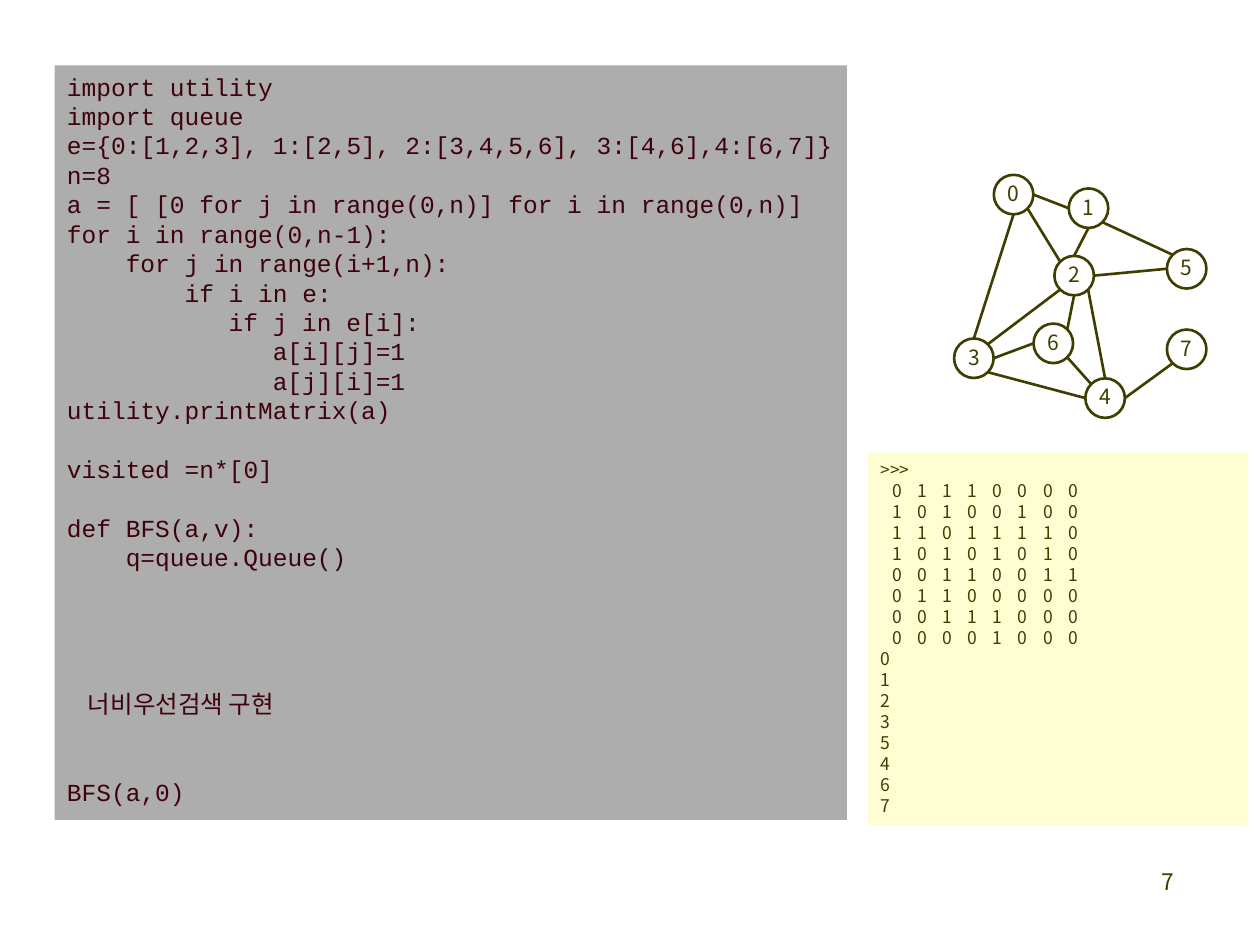
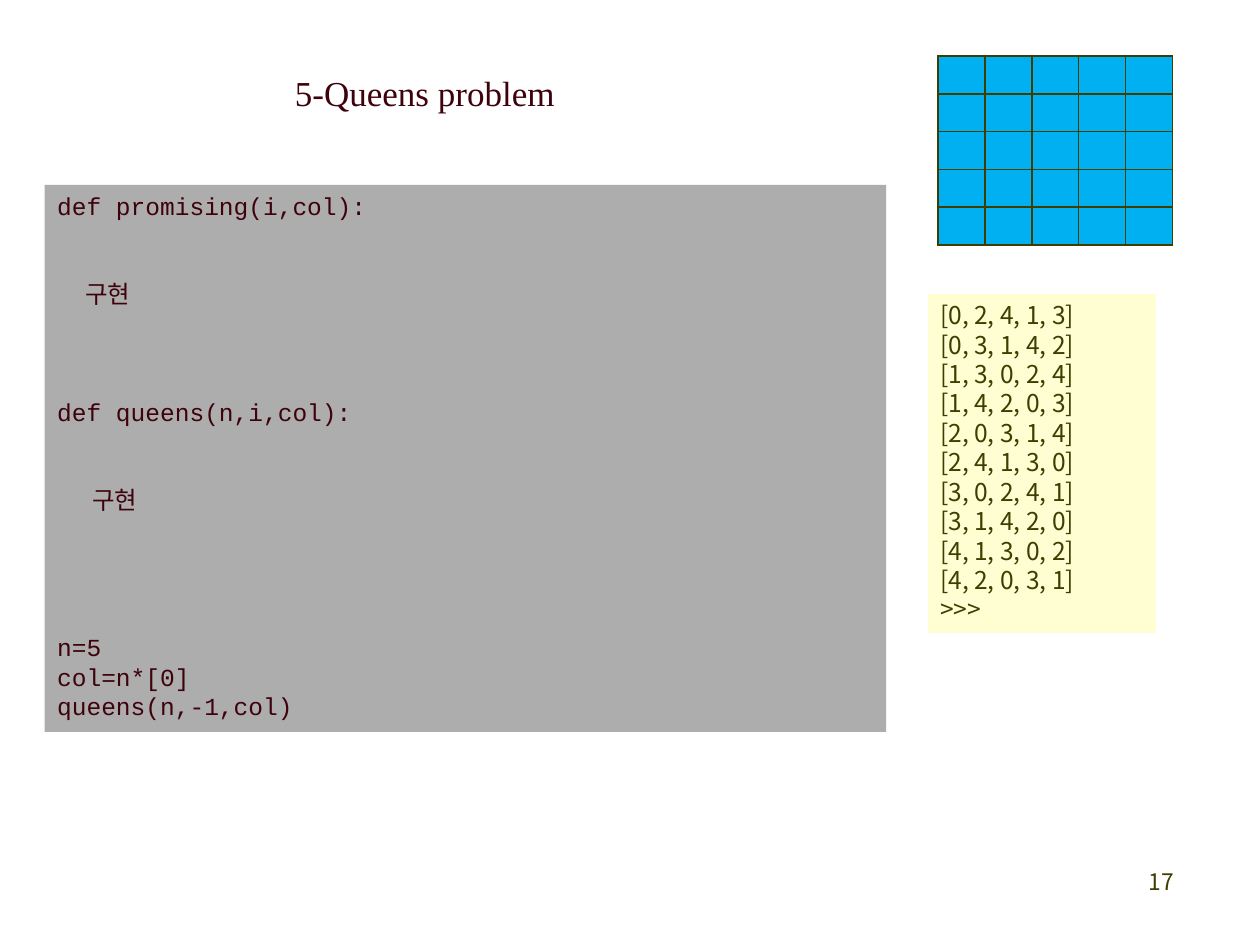
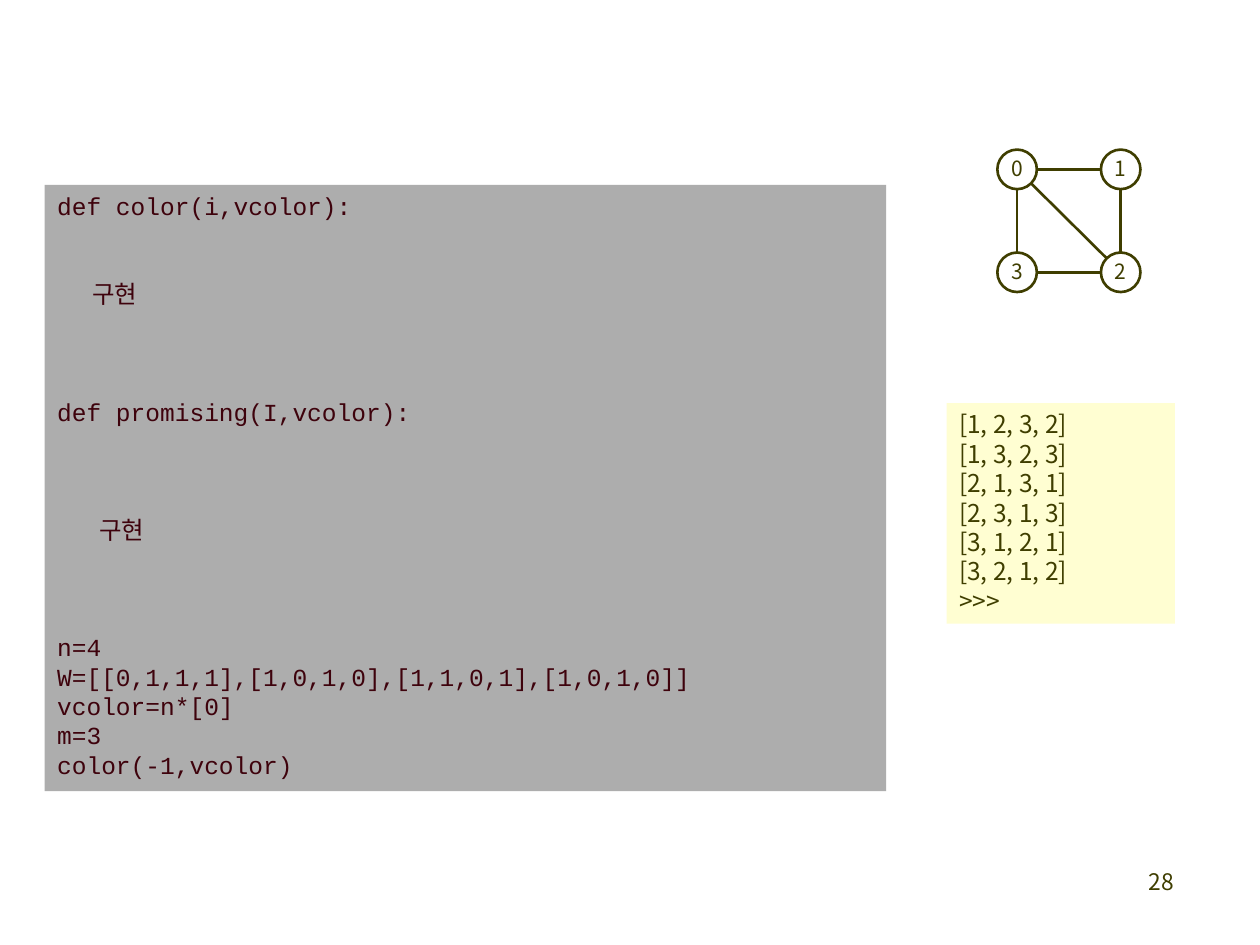
from math import hypot
from lxml.etree import SubElement
from pptx import Presentation
from pptx.dml.color import RGBColor
from pptx.enum.shapes import MSO_CONNECTOR, MSO_SHAPE
from pptx.enum.text import MSO_ANCHOR, PP_ALIGN
from pptx.oxml.ns import qn
from pptx.util import Pt


class Theme:
    ink = RGBColor.from_string("3F3E00")
    wine = RGBColor.from_string("3E020C")
    gray = RGBColor.from_string("ADADAD")
    cream = RGBColor.from_string("FFFED2")
    white = RGBColor.from_string("FFFFFF")
    blue = RGBColor.from_string("00B0F0")
    mono = "Courier New"
    sans = "Noto Sans CJK KR"
    serif = "Times New Roman"
    title, code, page, node, small = 20, 14, 13, 12, 10
    pitch = 1.2
    char, hangul, thin = 8.4, 4, 6.7
    spread = "333"
    stroke = 1.5


def style(para, font, size, color, align=PP_ALIGN.LEFT):
    para.alignment = align
    for run in para.runs:
        run.font.name = font
        run.font.size = Pt(size)
        run.font.color.rgb = color
        SubElement(run.font._element, qn("a:ea"), typeface=Theme.sans)


def panel(slide, box, text, fill, font, size, color):
    shape = slide.shapes.add_shape(MSO_SHAPE.RECTANGLE, *map(Pt, box))
    shape.shadow.inherit = False
    shape.fill.solid()
    shape.fill.fore_color.rgb = fill
    shape.line.fill.background()
    frame = shape.text_frame
    frame.word_wrap = True
    frame.vertical_anchor = MSO_ANCHOR.TOP
    step = size * Theme.pitch
    gap = 0
    for num, line in enumerate(text.strip().split("\n")):
        bare = line.lstrip(" ")
        if not bare:
            gap += 1
            continue
        para = frame.add_paragraph() if num else frame.paragraphs[0]
        para.text = bare
        para.line_spacing = Pt(step)
        para.space_before = Pt(gap * step)
        gap = 0
        style(para, font, size, color)
        depth = len(line) - len(bare)
        unit = Theme.char if bare.isascii() else Theme.hangul
        if depth and size == Theme.small:
            unit = Theme.thin
            para.runs[0].font._element.set("spc", Theme.spread)
        props = para._p.get_or_add_pPr()
        props.set("marL", str(Pt(unit * depth)))
        props.set("indent", "0")


search = """
import utility
import queue
e={0:[1,2,3], 1:[2,5], 2:[3,4,5,6], 3:[4,6],4:[6,7]}
n=8
a = [ [0 for j in range(0,n)] for i in range(0,n)]
for i in range(0,n-1):
    for j in range(i+1,n):
        if i in e:
           if j in e[i]:
              a[i][j]=1
              a[j][i]=1
utility.printMatrix(a)

visited =n*[0]

def BFS(a,v):
    q=queue.Queue()




   너비우선검색 구현


BFS(a,0)
"""

queens = """
def promising(i,col):


    구현



def queens(n,i,col):


     구현




n=5
col=n*[0]
queens(n,-1,col)
"""

paint = """
def color(i,vcolor):


     구현



def promising(I,vcolor):



      구현



n=4
W=[[0,1,1,1],[1,0,1,0],[1,1,0,1],[1,0,1,0]]
vcolor=n*[0]
m=3
color(-1,vcolor)
"""

grid = "01110000 10100100 11011110 10101010 00110011 01100000 00111000 00001000"
matrix = [" " + " ".join(row) for row in grid.split()]
walk = "\n".join([">>>", *matrix, *"01235467"])
boards = "02413 03142 13024 14203 20314 24130 30241 31420 41302 42031"
tints = "1232 1323 2131 2313 3121 3212"
placed, tinted = [
    "\n".join(["[" + ", ".join(row) + "]" for row in rows.split()] + [">>>"])
    for rows in (boards, tints)
]

deck = [
    dict(
        page="7", code=search, box=(31.2, 37.4, 452.8, 431.2),
        out=walk, size=Theme.small, spot=(496, 258.7, 217, 213),
        nodes=[(579.2, 111.2), (622, 119), (613.8, 157.5), (556.5, 204.7),
               (631.5, 227.5), (678.1, 153.6), (601.9, 196.2), (678.1, 199.6)],
        edges="0S-3N 3NE-2SW 1S-2N 1SE-5NW 0E-1W 2S-6NE 6W-3E 6SE-4NW "
              "4E-7SW 5W-2E 4W-3SE 2SE-4N 0SE-2NW",
    ),
    dict(
        page="17", code=queens, box=(25.6, 105.7, 480.8, 312.6),
        out=placed, size=Theme.code, spot=(530.2, 168, 130.4, 193.7),
        nodes=[], edges="",
    ),
    dict(
        page="28", code=paint, box=(25.6, 105.7, 480.8, 346.4),
        out=tinted, size=Theme.code, spot=(541, 230.4, 130.4, 126),
        nodes=[(581.2, 96.8), (640.4, 96.8), (640.4, 155.6), (581.2, 155.6)],
        edges="0S-3N 3E-2W 1S-2N 0E-1W 0SE-2NW",
    ),
]

sides = dict(N=(0, -1), S=(0, 1), E=(1, 0), W=(-1, 0),
             NE=(1, -1), SE=(1, 1), NW=(-1, -1), SW=(-1, 1))
radius = 11.3

prs = Presentation()
prs.slide_width, prs.slide_height = Pt(720), Pt(540)

for item in deck:
    named = item["code"] == queens
    slide = prs.slides.add_slide(prs.slide_layouts[5 if named else 6])

    foot = slide.shapes.add_textbox(Pt(528), Pt(492.4), Pt(150), Pt(36)).text_frame
    foot.word_wrap = True
    foot.text = item["page"]
    style(foot.paragraphs[0], Theme.sans, Theme.page, Theme.ink, PP_ALIGN.RIGHT)

    panel(slide, item["box"], item["code"], Theme.gray, Theme.mono, Theme.code, Theme.wine)
    panel(slide, item["spot"], item["out"], Theme.cream, Theme.sans, item["size"], Theme.ink)

    for num, (x, y) in enumerate(item["nodes"]):
        node = slide.shapes.add_shape(
            MSO_SHAPE.OVAL, Pt(x - radius), Pt(y - radius), Pt(2 * radius), Pt(2 * radius))
        node.shadow.inherit = False
        node.fill.solid()
        node.fill.fore_color.rgb = Theme.white
        node.line.color.rgb = Theme.ink
        node.line.width = Pt(Theme.stroke)
        frame = node.text_frame
        frame.margin_left = frame.margin_right = frame.margin_top = frame.margin_bottom = 0
        frame.vertical_anchor = MSO_ANCHOR.MIDDLE
        frame.text = str(num)
        frame.paragraphs[0].line_spacing = 0.9
        style(frame.paragraphs[0], Theme.sans, Theme.node, Theme.ink, PP_ALIGN.CENTER)

    for edge in item["edges"].split():
        ends = []
        for end in edge.split("-"):
            x, y = item["nodes"][int(end[0])]
            dx, dy = sides[end[1:]]
            reach = radius / hypot(dx, dy)
            ends += [Pt(x + dx * reach), Pt(y + dy * reach)]
        link = slide.shapes.add_connector(MSO_CONNECTOR.STRAIGHT, *ends)
        link.line.color.rgb = Theme.ink
        link.line.width = Pt(Theme.stroke)
        SubElement(link._element.spPr, qn("a:effectLst"))

    if named:
        title = slide.shapes.title
        title.left, title.top, title.width, title.height = map(Pt, (161.3, 37.4, 164, 31.7))
        title.text_frame.text = "5-Queens problem"
        title.text_frame.word_wrap = False
        title.text_frame.vertical_anchor = MSO_ANCHOR.TOP
        style(title.text_frame.paragraphs[0], Theme.serif, Theme.title, Theme.wine)

        count = 5
        board = slide.shapes.add_table(
            count, count, Pt(536), Pt(32), Pt(134), Pt(108)).table
        board.first_row = board.horz_banding = False
        for row in board.rows:
            row.height = Pt(21.6)
        for col in board.columns:
            col.width = Pt(26.8)
        for cell in board.iter_cells():
            cell.margin_left = cell.margin_right = cell.margin_top = cell.margin_bottom = 0
            para = cell.text_frame.paragraphs[0]._p
            SubElement(para, qn("a:endParaRPr"), sz=str(Theme.small * 100))
            props = cell._tc.get_or_add_tcPr()
            for side in ("lnL", "lnR", "lnT", "lnB"):
                rule = SubElement(props, qn("a:" + side), w=str(Pt(1)))
                solid = SubElement(rule, qn("a:solidFill"))
                SubElement(solid, qn("a:srgbClr"), val=str(Theme.ink))
            cell.fill.solid()
            cell.fill.fore_color.rgb = Theme.blue

prs.save("out.pptx")
